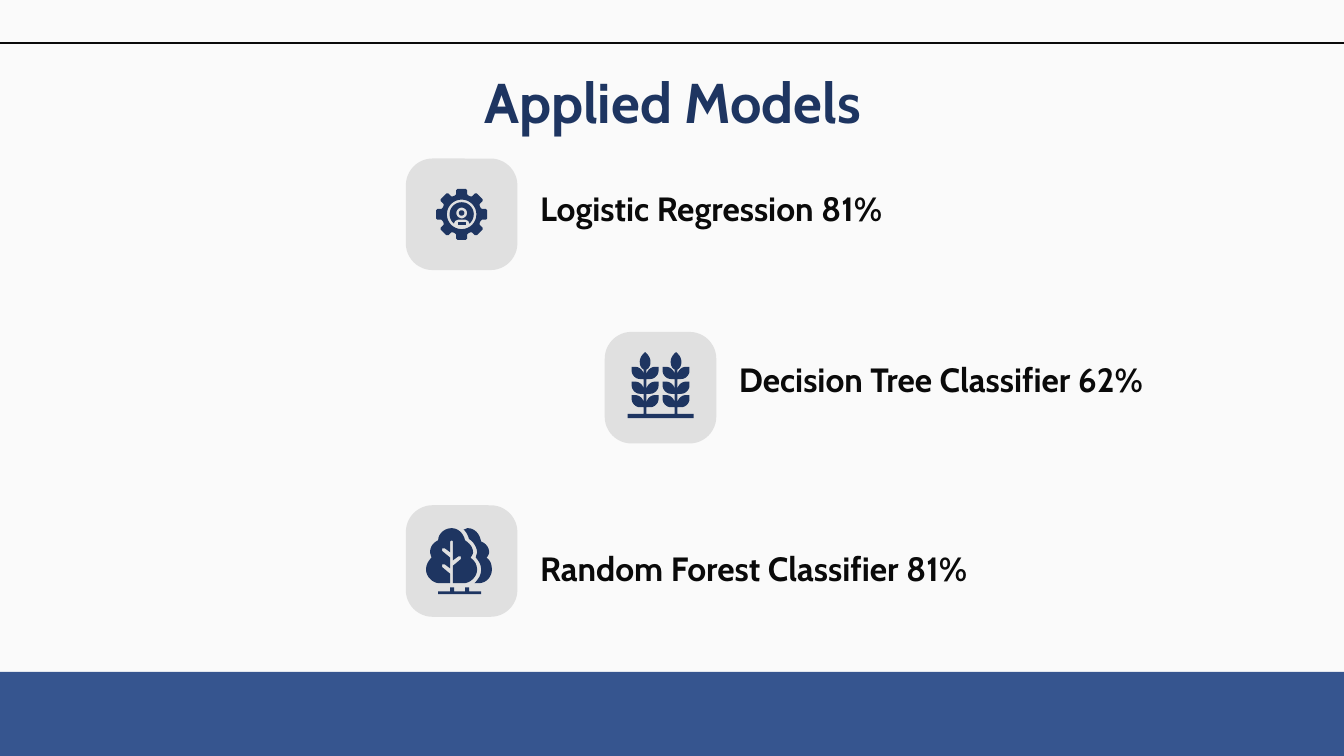
from math import cos, pi, sin

from lxml import etree
from pptx import Presentation
from pptx.dml.color import RGBColor
from pptx.enum.shapes import MSO_CONNECTOR as Connector, MSO_SHAPE as Shape
from pptx.enum.text import MSO_ANCHOR as Anchor, MSO_AUTO_SIZE as AutoSize, PP_ALIGN as Align
from pptx.oxml.ns import qn
from pptx.util import Inches, Pt

PAPER = RGBColor(0xFA, 0xFA, 0xFA)
BLUE = RGBColor(0x36, 0x55, 0x8F)
NAVY = RGBColor(0x1E, 0x35, 0x61)
INK = RGBColor(0x0A, 0x0A, 0x0A)
GREY = RGBColor(0xE0, 0xE0, 0xE0)
WIDTH = 10
HEIGHT = WIDTH * 9 / 16
TILE = 0.83


def write(frame, text, size=18, color=INK, align=Align.LEFT, anchor=Anchor.BOTTOM):
    frame.word_wrap = True
    frame.auto_size = AutoSize.NONE
    frame.vertical_anchor = anchor
    frame.margin_left = frame.margin_right = Inches(0.1)
    frame.margin_top = frame.margin_bottom = Inches(0.1)
    para = frame.paragraphs[0]
    para.alignment = align
    span = para.add_run()
    span.text = text
    span.font.name, span.font.size, span.font.bold = "Cabin", Pt(size), True
    span.font.color.rgb = color


def place(shape, left, top, width, height):
    shape.left, shape.top = Inches(left), Inches(top)
    shape.width, shape.height = Inches(width), Inches(height)


def paint(shape, color):
    shape.shadow.inherit = False
    shape.fill.solid()
    shape.fill.fore_color.rgb = color
    shape.line.fill.background()
    return shape


def add_block(page, kind, box, color):
    return paint(page.shapes.add_shape(kind, *map(Inches, box)), color)


# Outlines: lists of points in inches, relative to a tile
def arc(x, y, radius, start=0, end=360, steps=32):
    angles = [(start + (end - start) * i / steps) * pi / 180 for i in range(steps + 1)]
    return [(x + radius * cos(a), y + radius * sin(a)) for a in angles]


def rect(left, top, right, bottom):
    return [(left, top), (right, top), (right, bottom), (left, bottom)]


def trace(*nodes, steps=8):
    """Two numbers make a corner, six make a Bezier curve from the last point."""
    points = []
    for node in nodes:
        if len(node) == 2:
            points.append(node)
            continue
        x0, y0 = points[-1]
        x1, y1, x2, y2, x3, y3 = node
        for i in range(1, steps + 1):
            t = i / steps
            a, b, c, d = (1 - t) ** 3, 3 * t * (1 - t) ** 2, 3 * t * t * (1 - t), t ** 3
            points.append((a * x0 + b * x1 + c * x2 + d * x3,
                           a * y0 + b * y1 + c * y2 + d * y3))
    return points


def shift(points, dx, dy, flip=1):
    return [(dx + flip * x, dy + y) for x, y in points]


def add_outline(page, left, top, contours):
    spots = [[(Inches(left + x), Inches(top + y)) for x, y in points] for points in contours]
    builder = page.shapes.build_freeform(*spots[0][0])
    for index, points in enumerate(spots):
        if index:
            builder.move_to(*points[0])
        builder.add_line_segments(points[1:], close=True)
    paint(builder.convert_to_shape(), NAVY)


# Icons, each drawn inside the tile at left, top
def draw_gear(page, left, top):
    middle = TILE / 2
    tooth = [(-0.05, -0.14), (-0.04, -0.15), (-0.04, -0.18), (-0.03, -0.19),
             (0.03, -0.19), (0.04, -0.18), (0.04, -0.15), (0.05, -0.14)]
    rim = [(x * cos(a) - y * sin(a), x * sin(a) + y * cos(a))
           for a in (k * pi / 4 for k in range(8)) for x, y in tooth]
    face = arc(0, 0, 0.09, 130, 410) + [(0.05, 0.05), (0.03, 0.04), (-0.03, 0.04), (-0.05, 0.05)]
    head = [arc(0, -0.01, radius) for radius in (0.04, 0.02)]
    shoulders = rect(-0.03, 0.06, 0.03, 0.08)
    for parts in ([rim, arc(0, 0, 0.11)], [face, head[0]], [head[1]], [shoulders]):
        add_outline(page, left, top, [shift(part, middle, middle) for part in parts])


def draw_wheat(page, left, top):
    grain = trace((0, 0.15), (0, 0.15, -0.04, 0.18, -0.04, 0.22),
                  (-0.04, 0.25, -0.03, 0.27, -0.01, 0.28), (0.01, 0.28),
                  (0.03, 0.27, 0.04, 0.25, 0.04, 0.22), (0.04, 0.18, 0, 0.15, 0, 0.15))
    leaf = trace((0.01, 0.09), (0.01, 0.06), (0.01, 0.03, 0.04, 0, 0.07, 0), (0.1, 0),
                 (0.1, 0.03), (0.1, 0.06, 0.07, 0.09, 0.04, 0.09))
    contours = [rect(0.17, 0.61, 0.66, 0.64)]
    for stalk in (0.3, 0.53):
        contours += [shift(grain, stalk, 0), rect(stalk - 0.01, 0.28, stalk + 0.01, 0.61)]
        contours += [shift(leaf, stalk, y, side) for y in (0.26, 0.37, 0.47) for side in (-1, 1)]
    add_outline(page, left, top, contours)


def draw_trees(page, left, top):
    front = trace(
        (0.34, 0.17), (0.29, 0.17, 0.24, 0.21, 0.24, 0.26), (0.2, 0.28, 0.18, 0.31, 0.18, 0.35),
        (0.18, 0.36, 0.19, 0.38, 0.19, 0.39), (0.17, 0.41, 0.15, 0.44, 0.15, 0.48),
        (0.15, 0.53, 0.2, 0.58, 0.25, 0.58), (0.33, 0.58), (0.33, 0.51), (0.27, 0.46),
        (0.27, 0.44), (0.29, 0.44), (0.33, 0.47), (0.33, 0.39), (0.27, 0.34), (0.27, 0.32),
        (0.29, 0.32), (0.33, 0.35), (0.33, 0.27), (0.33, 0.26, 0.35, 0.26, 0.35, 0.27),
        (0.35, 0.41), (0.39, 0.38), (0.41, 0.38), (0.41, 0.4), (0.35, 0.45), (0.35, 0.58),
        (0.43, 0.58), (0.48, 0.58, 0.53, 0.53, 0.53, 0.48), (0.53, 0.44, 0.51, 0.41, 0.48, 0.39),
        (0.49, 0.38, 0.5, 0.36, 0.5, 0.35), (0.5, 0.31, 0.47, 0.28, 0.44, 0.26),
        (0.43, 0.21, 0.39, 0.17, 0.34, 0.17))
    back = trace(
        (0.46, 0.17), (0.45, 0.17, 0.44, 0.18, 0.43, 0.18), (0.45, 0.2, 0.46, 0.22, 0.47, 0.25),
        (0.5, 0.27, 0.53, 0.31, 0.53, 0.35), (0.53, 0.36, 0.52, 0.38, 0.52, 0.39),
        (0.54, 0.41, 0.56, 0.44, 0.56, 0.48), (0.56, 0.52, 0.54, 0.55, 0.51, 0.58), (0.54, 0.58),
        (0.6, 0.58, 0.64, 0.53, 0.64, 0.48), (0.64, 0.44, 0.63, 0.41, 0.6, 0.39),
        (0.61, 0.38, 0.62, 0.36, 0.62, 0.35), (0.62, 0.31, 0.59, 0.28, 0.56, 0.27),
        (0.55, 0.21, 0.51, 0.17, 0.46, 0.17))
    ground = [rect(0.24, 0.64, 0.56, 0.66), rect(0.33, 0.61, 0.36, 0.64),
              rect(0.44, 0.61, 0.47, 0.64)]
    for contours in ([front], [back], ground):
        add_outline(page, left, top, contours)


# Regions
def add_backdrop(page):
    page.background.fill.solid()
    page.background.fill.fore_color.rgb = PAPER
    add_block(page, Shape.RECTANGLE, (0, 5, WIDTH, HEIGHT - 5), BLUE)
    rule = page.shapes.add_connector(Connector.STRAIGHT, 0, Inches(0.32), Inches(WIDTH), Inches(0.32))
    rule.line.color.rgb, rule.line.width = INK, Pt(0.75)
    etree.SubElement(rule._element.spPr, qn("a:effectLst"))


def add_model(page, left, top, label, label_top, label_width, draw_icon):
    tile = add_block(page, Shape.ROUNDED_RECTANGLE, (left, top, TILE, TILE), GREY)
    tile.adjustments[0] = 0.24
    draw_icon(page, left, top)
    box = page.shapes.add_textbox(0, 0, 0, 0)
    place(box, left + 0.9, top + label_top, label_width, 0.4)
    write(box.text_frame, label)


def main():
    deck = Presentation()
    deck.slide_width, deck.slide_height = Inches(WIDTH), Inches(HEIGHT)
    page = deck.slides.add_slide(deck.slide_layouts[5])
    add_backdrop(page)
    title = page.shapes.title
    place(title, 0.79, 0.4, 8.43, 0.6)
    write(title.text_frame, "Applied Models", size=30, color=NAVY,
          align=Align.CENTER, anchor=Anchor.TOP)
    models = [
        (3.02, "Logistic Regression 81%", 0.22, 3.29, draw_gear),
        (4.5, "Decision Tree Classifier 62%", 0.2, 3.86, draw_wheat),
        (3.02, "Random Forest Classifier 81%", 0.32, 4.13, draw_trees),
    ]
    for row, (left, *details) in enumerate(models):
        add_model(page, left, 1.18 + 1.29 * row, *details)
    deck.save("out.pptx")


if __name__ == "__main__":
    main()
